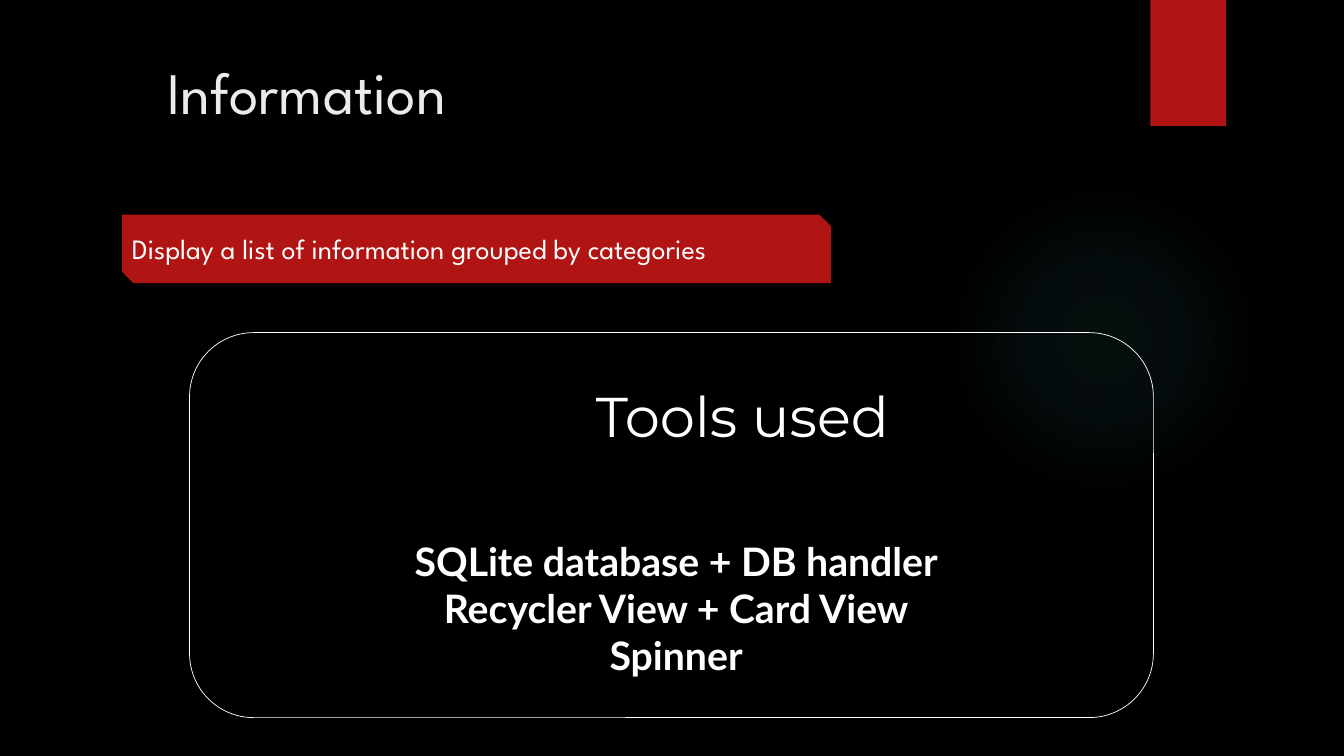
from lxml.etree import SubElement
from pptx import Presentation
from pptx.dml.color import RGBColor
from pptx.enum.shapes import MSO_SHAPE
from pptx.enum.text import MSO_ANCHOR, PP_ALIGN
from pptx.oxml import parse_xml
from pptx.oxml.ns import nsdecls, qn
from pptx.util import Inches, Pt

SLIDE_WIDTH = Inches(13.33)
SLIDE_HEIGHT = Inches(7.5)
RED = "B01513"
WHITE = "FFFFFF"
TEAL = "50B9C1"


def color(hex_string):
    return RGBColor.from_string(hex_string)


def place(left, top, width, height):
    return (
        int(SLIDE_WIDTH * left / 100),
        int(SLIDE_HEIGHT * top / 100),
        int(SLIDE_WIDTH * width / 100),
        int(SLIDE_HEIGHT * height / 100),
    )


def add_panel(slide, kind, area, fill=None, line=None):
    shape = slide.shapes.add_shape(kind, *place(*area))
    shape.shadow.inherit = False
    if fill:
        shape.fill.solid()
        shape.fill.fore_color.rgb = color(fill)
    else:
        shape.fill.background()
    if line:
        shape.line.color.rgb = color(line)
        shape.line.width = Pt(0.5)
    else:
        shape.line.fill.background()
    return shape


def add_glow(slide, area, hex_string, stops):
    shape = add_panel(slide, MSO_SHAPE.OVAL, area)
    stop_xml = "".join(
        f'<a:gs pos="{position * 1000}"><a:srgbClr val="{hex_string}">'
        f'<a:alpha val="{opacity * 1000}"/></a:srgbClr></a:gs>'
        for position, opacity in stops
    )
    gradient = parse_xml(
        f'<a:gradFill {nsdecls("a")}><a:gsLst>{stop_xml}</a:gsLst>'
        '<a:path path="circle"><a:fillToRect l="50000" t="50000" r="50000" b="50000"/>'
        "</a:path></a:gradFill>"
    )
    properties = shape.element.spPr
    properties.replace(properties.find(qn("a:noFill")), gradient)


def add_drop_shadow(shape):
    effects = shape.element.spPr.find(qn("a:effectLst"))
    shadow = SubElement(
        effects, qn("a:outerShdw"),
        blurRad=str(Pt(3)), dist=str(Pt(2)), dir="5400000", rotWithShape="0",
    )
    shade = SubElement(shadow, qn("a:srgbClr"), val="000000")
    SubElement(shade, qn("a:alpha"), val="45000")


def add_text(slide, area, text, font_name, size, hex_string=WHITE,
             bold=False, alignment=PP_ALIGN.LEFT):
    text_frame = slide.shapes.add_textbox(*place(*area)).text_frame
    text_frame.word_wrap = True
    text_frame.vertical_anchor = MSO_ANCHOR.TOP
    text_frame.text = text
    for paragraph in text_frame.paragraphs:
        paragraph.alignment = alignment
        for run in paragraph.runs:
            run.font.name = font_name
            run.font.size = Pt(size)
            run.font.bold = bold
            run.font.color.rgb = color(hex_string)


def main():
    presentation = Presentation()
    presentation.slide_width = SLIDE_WIDTH
    presentation.slide_height = SLIDE_HEIGHT
    slide = presentation.slides.add_slide(presentation.slide_layouts[6])
    slide.background.fill.solid()
    slide.background.fill.fore_color.rgb = color("000000")

    add_glow(slide, (70.58, 24.4, 23.1, 41.07), TEAL, [(0, 7), (36, 6), (69, 0)])
    corner_tab = add_panel(slide, MSO_SHAPE.RECTANGLE, (85.6, 0, 5.63, 16.67), fill=RED)
    add_drop_shadow(corner_tab)
    add_text(slide, (11.7, 6.67, 77.2, 20.4), "Information", "League Spartan", 42, "EBEBEB")

    add_panel(slide, MSO_SHAPE.SNIP_2_DIAG_RECTANGLE, (9.08, 28.4, 52.74, 9.07), fill=RED)
    add_panel(slide, MSO_SHAPE.ROUNDED_RECTANGLE, (14.1, 44, 71.72, 50.93), line=WHITE)
    add_text(slide, (9.08, 30, 73.37, 7.47),
             "Display a list of information grouped by categories", "League Spartan", 20)

    add_text(slide, (43.59, 49.87, 33.16, 10.27), "Tools used", "Montserrat", 40)
    tools = ["SQLite database + DB handler", "Recycler View + Card View", "Spinner"]
    add_text(slide, (28.06, 70.4, 44.49, 26.53), "\n".join(tools), "Lato", 28,
             bold=True, alignment=PP_ALIGN.CENTER)

    presentation.save("out.pptx")


if __name__ == "__main__":
    main()
